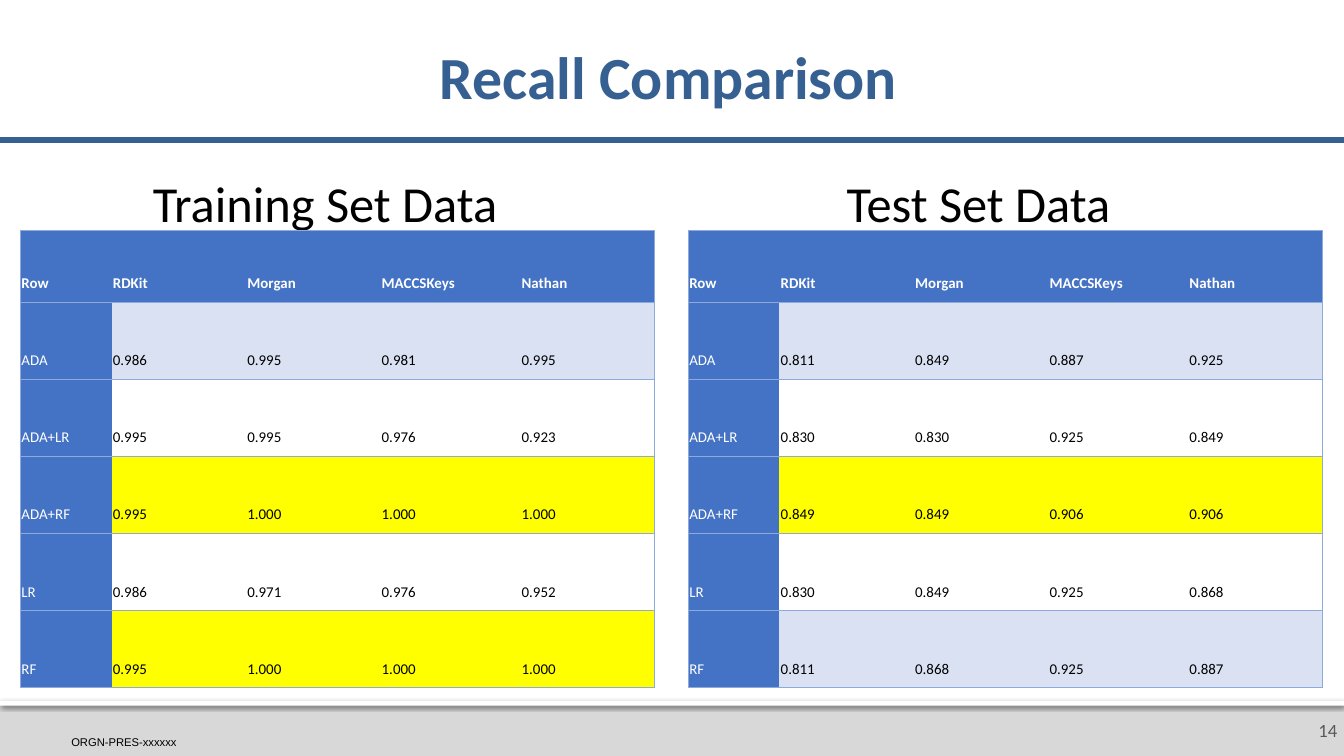
from dataclasses import dataclass

from lxml import etree
from pptx import Presentation
from pptx.dml.color import RGBColor
from pptx.enum import shapes, text
from pptx.oxml import ns
from pptx.util import Pt

NAVY, BLUE, PALE_BLUE, BORDER = "366092", "4472C4", "D9E1F2", "8EA9DB"
YELLOW, WHITE, BLACK, GREY, DARK_GREY = "FFFF00", "FFFFFF", "000000", "D8D8D8", "595959"

HEADERS = ("Row", "RDKit", "Morgan", "MACCSKeys", "Nathan")
MODELS = ("ADA", "ADA+LR", "ADA+RF", "LR", "RF")
COLUMN_WIDTHS = (49, 72, 72, 75, 72)
HEADER_HEIGHT, ROW_HEIGHT = 38.5, 41.3
TABLE_TOP = 123.4


@dataclass(frozen=True)
class Label:
    text: str
    box: tuple[float, float, float, float]
    size: float
    color: str = BLACK
    font: str = "Calibri"
    align: text.PP_ALIGN = text.PP_ALIGN.CENTER
    anchor: text.MSO_ANCHOR = text.MSO_ANCHOR.TOP
    margins: tuple[float, float, float, float] = (7.2, 7.2, 7.2, 7.2)
    bold: bool = False
    line_spacing: float = 1.0


@dataclass(frozen=True)
class RecallTable:
    left: float
    fills: tuple[str | None, ...]
    values: tuple[tuple[float, ...], ...]


TITLE = Label("Recall Comparison", (0, 13, 720, 59.8), 32, NAVY, bold=True,
              anchor=text.MSO_ANCHOR.MIDDLE, margins=(0, 3.6, 3.6, 3.6), line_spacing=0.9)
LABELS = (
    Label("14", (694.8, 378, 25.2, 26.6), 10, DARK_GREY, align=text.PP_ALIGN.RIGHT,
          anchor=text.MSO_ANCHOR.MIDDLE, margins=(7.2, 3.6, 3.6, 3.6)),
    Label("ORGN-PRES-xxxxxx", (38.2, 395.3, 69, 5.8), 6, font="Arial",
          align=text.PP_ALIGN.LEFT, anchor=text.MSO_ANCHOR.BOTTOM, margins=(0, 0, 0, 0)),
    Label("Training Set Data", (41, 85, 266.4, 38.2), 27),
    Label("Test Set Data", (391, 85, 266.4, 38.2), 27),
)
TABLES = (
    RecallTable(368.6, (PALE_BLUE, None, YELLOW, None, PALE_BLUE), (
        (0.811, 0.849, 0.887, 0.925),
        (0.830, 0.830, 0.925, 0.849),
        (0.849, 0.849, 0.906, 0.906),
        (0.830, 0.849, 0.925, 0.868),
        (0.811, 0.868, 0.925, 0.887),
    )),
    RecallTable(10.8, (PALE_BLUE, None, YELLOW, None, YELLOW), (
        (0.986, 0.995, 0.981, 0.995),
        (0.995, 0.995, 0.976, 0.923),
        (0.995, 1.000, 1.000, 1.000),
        (0.986, 0.971, 0.976, 0.952),
        (0.995, 1.000, 1.000, 1.000),
    )),
)


def rgb(color: str) -> RGBColor:
    return RGBColor.from_string(color)


def add_element(parent, tag: str, **attributes):
    return etree.SubElement(parent, ns.qn(tag), attributes)


def format_font(paragraph, size: float, color: str, bold: bool, name: str = "Calibri") -> None:
    font = paragraph.font
    font.name, font.size, font.bold = name, Pt(size), bold
    font.color.rgb = rgb(color)


def fill_label(shape, label: Label) -> None:
    """Place a text shape and give it the label's wording and format."""
    shape.left, shape.top, shape.width, shape.height = map(Pt, label.box)
    frame = shape.text_frame
    frame.word_wrap = True
    frame.auto_size = text.MSO_AUTO_SIZE.NONE
    frame.vertical_anchor = label.anchor
    (frame.margin_left, frame.margin_top,
     frame.margin_right, frame.margin_bottom) = map(Pt, label.margins)
    frame.text = label.text
    paragraph = frame.paragraphs[0]
    paragraph.alignment = label.align
    paragraph.line_spacing = label.line_spacing
    format_font(paragraph, label.size, label.color, label.bold, label.font)


def add_bar(slide, top: float, height: float, color: str):
    bar = slide.shapes.add_shape(shapes.MSO_SHAPE.RECTANGLE, 0, Pt(top), Pt(720), Pt(height))
    bar.shadow.inherit = False
    bar.fill.solid()
    bar.fill.fore_color.rgb = rgb(color)
    bar.line.fill.background()
    return bar


def add_footer(slide) -> None:
    add_bar(slide, 375.2, 29.8, GREY)
    edge = add_bar(slide, 375.2, 2.9, WHITE)
    effects = edge._element.spPr.find(ns.qn("a:effectLst"))
    shadow = add_element(effects, "a:outerShdw", blurRad=str(Pt(2.5)), dist=str(Pt(0.8)),
                         dir="5400000", algn="t", rotWithShape="0")
    shadow_color = add_element(shadow, "a:srgbClr", val=BLACK)
    add_element(shadow_color, "a:alpha", val="60000")


def add_title_rule(slide) -> None:
    rule = slide.shapes.add_connector(
        shapes.MSO_CONNECTOR.STRAIGHT, 0, Pt(74.9), Pt(720), Pt(74.9))
    rule.line.color.rgb = rgb(NAVY)
    rule.line.width = Pt(3)
    add_element(rule._element.spPr, "a:effectLst")


def set_borders(cell, column: int) -> None:
    """Rule every row, and close the table at its outer sides only."""
    properties = cell._tc.get_or_add_tcPr()
    visible = {"L": column == 0, "R": column == len(HEADERS) - 1, "T": True, "B": True}
    for side, shown in visible.items():
        line = add_element(properties, f"a:ln{side}", w=str(Pt(0.5)))
        if shown:
            add_element(add_element(line, "a:solidFill"), "a:srgbClr", val=BORDER)
        else:
            add_element(line, "a:noFill")


def format_cell(cell, column: int, wording: str, fill: str | None, bold: bool) -> None:
    set_borders(cell, column)
    if fill:
        cell.fill.solid()
        cell.fill.fore_color.rgb = rgb(fill)
    else:
        cell.fill.background()
    cell.vertical_anchor = text.MSO_ANCHOR.BOTTOM
    cell.margin_left = cell.margin_right = cell.margin_top = Pt(0.7)
    cell.margin_bottom = Pt(5)
    cell.text = wording
    paragraph = cell.text_frame.paragraphs[0]
    on_blue = fill == BLUE
    paragraph.line_spacing = 1.0 if on_blue else 1.15
    format_font(paragraph, 8, WHITE if on_blue else BLACK, bold)


def add_recall_table(slide, recall: RecallTable) -> None:
    heights = (HEADER_HEIGHT,) + (ROW_HEIGHT,) * len(MODELS)
    table = slide.shapes.add_table(
        len(heights), len(HEADERS), Pt(recall.left), Pt(TABLE_TOP),
        Pt(sum(COLUMN_WIDTHS)), Pt(sum(heights))).table
    table.horz_banding = False
    for column, width in zip(table.columns, COLUMN_WIDTHS):
        column.width = Pt(width)
    for row, height in zip(table.rows, heights):
        row.height = Pt(height)

    for column, header in enumerate(HEADERS):
        format_cell(table.cell(0, column), column, header, BLUE, bold=True)
    for row, (model, fill, values) in enumerate(zip(MODELS, recall.fills, recall.values), 1):
        format_cell(table.cell(row, 0), 0, model, BLUE, bold=False)
        for column, value in enumerate(values, 1):
            format_cell(table.cell(row, column), column, f"{value:.3f}", fill, bold=False)


def main() -> None:
    presentation = Presentation()
    presentation.slide_width, presentation.slide_height = Pt(720), Pt(405)
    slide = presentation.slides.add_slide(presentation.slide_layouts.get_by_name("Title Only"))
    add_footer(slide)
    add_title_rule(slide)
    fill_label(slide.shapes.title, TITLE)
    for label in LABELS:
        fill_label(slide.shapes.add_textbox(*map(Pt, label.box)), label)
    for recall in TABLES:
        add_recall_table(slide, recall)
    presentation.save("out.pptx")


if __name__ == "__main__":
    main()
